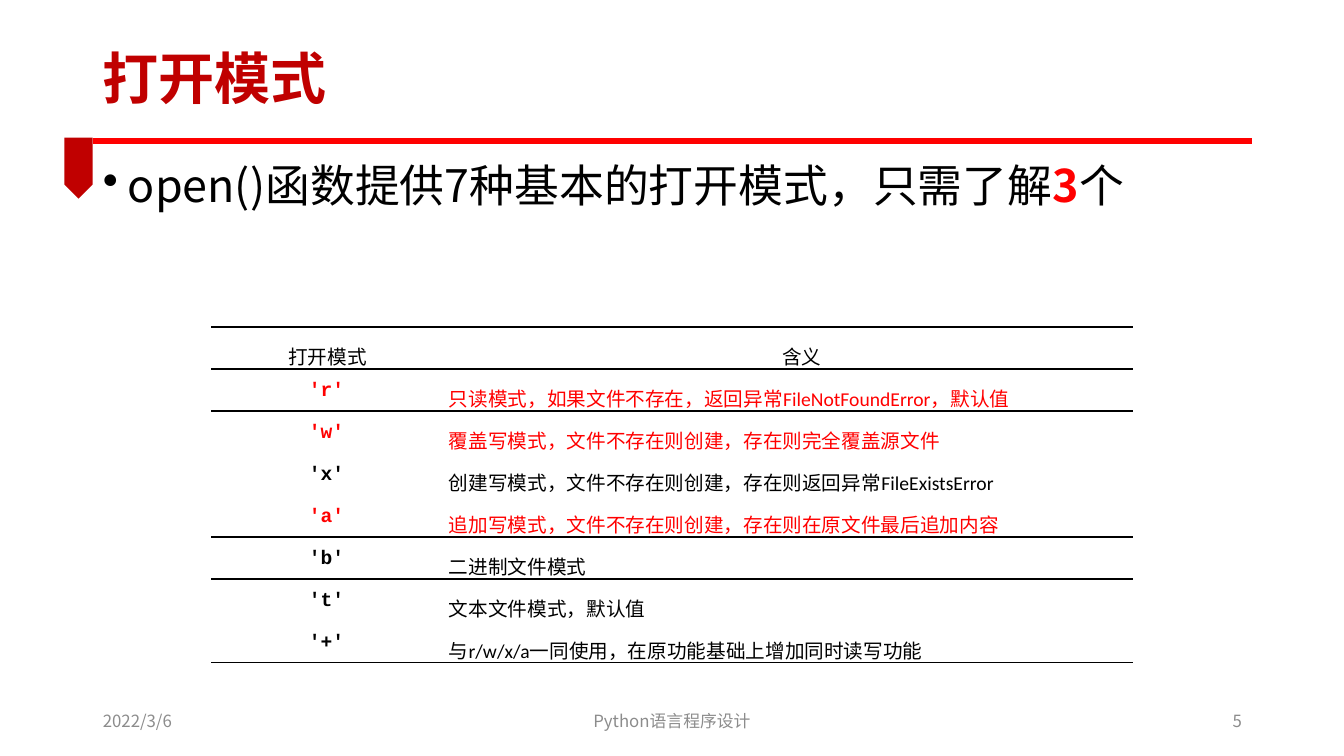
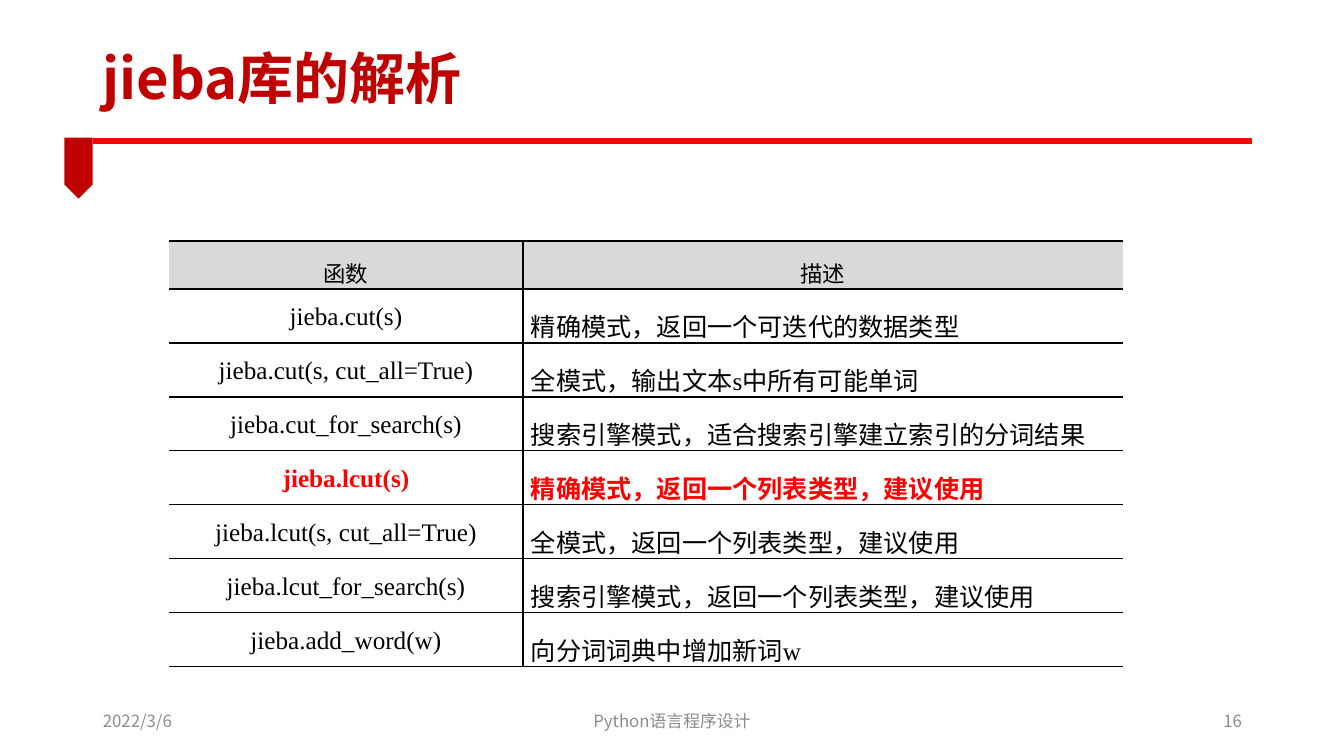
from lxml import etree
from pptx import Presentation
from pptx.dml.color import RGBColor
from pptx.enum.shapes import MSO_CONNECTOR, MSO_SHAPE
from pptx.enum.text import MSO_ANCHOR, PP_ALIGN
from pptx.oxml.ns import qn
from pptx.util import Pt

LEFT, MID, RIGHT = PP_ALIGN.LEFT, PP_ALIGN.CENTER, PP_ALIGN.RIGHT
TOP, CENTER = MSO_ANCHOR.TOP, MSO_ANCHOR.MIDDLE
LINE, TAG = MSO_CONNECTOR.STRAIGHT, MSO_SHAPE.PENTAGON

WIDE, HIGH = 1344, 756
SCALE = 12192000 / WIDE
RED, DARK, BLACK, GREY = "FF0000", "C00000", "000000", "8C8C8C"
WHITE, SHADE = "FFFFFF", "D9D9D9"
SANS = "Noto Sans CJK SC"
PLAIN = "{2D5ABB26-0587-4C30-8999-92F81FD0307C}"  # table style without grid

DATE, COURSE = "2022/3/6", "Python语言程序设计"
LEAD = [("open()函数提供7种基本的打开模式，只需了解", False), ("3", True), ("个", False)]

MODES = {
    "at": (211, 327), "cols": (231, 691), "rows": (42, 42), "pad": 7,
    "fonts": ("Courier New", "Calibri"), "head font": "Calibri",
    "sizes": (14, 14), "bold": (True, False), "hot bold": False,
    "shade": WHITE, "shift": (2, 29), "split": 0,
    "rules": {0: 1.5, 1: 1.5, 5: 1, 8: 1},
    "hot": (1, 2, 4),
    "text": [
        ("打开模式", "含义"),
        ("'r'", "只读模式，如果文件不存在，返回异常FileNotFoundError，默认值"),
        ("'w'", "覆盖写模式，文件不存在则创建，存在则完全覆盖源文件"),
        ("'x'", "创建写模式，文件不存在则创建，存在则返回异常FileExistsError"),
        ("'a'", "追加写模式，文件不存在则创建，存在则在原文件最后追加内容"),
        ("'b'", "二进制文件模式"),
        ("'t'", "文本文件模式，默认值"),
        ("'+'", "与r/w/x/a一同使用，在原功能基础上增加同时读写功能"),
    ],
}
CALLS = {
    "at": (169, 241), "cols": (354, 600), "rows": (48, 54), "pad": 8,
    "fonts": ("Times New Roman", "Times New Roman"), "head font": "Times New Roman",
    "sizes": (16, 18), "bold": (False, False), "hot bold": True,
    "shade": SHADE, "shift": (0, 0), "split": 1,
    "rules": dict.fromkeys(range(9), 1),
    "hot": (4,),
    "text": [
        ("函数", "描述"),
        ("jieba.cut(s)", "精确模式，返回一个可迭代的数据类型"),
        ("jieba.cut(s, cut_all=True)", "全模式，输出文本s中所有可能单词"),
        ("jieba.cut_for_search(s)", "搜索引擎模式，适合搜索引擎建立索引的分词结果"),
        ("jieba.lcut(s)", "精确模式，返回一个列表类型，建议使用"),
        ("jieba.lcut(s, cut_all=True)", "全模式，返回一个列表类型，建议使用"),
        ("jieba.lcut_for_search(s)", "搜索引擎模式，返回一个列表类型，建议使用"),
        ("jieba.add_word(w)", "向分词词典中增加新词w"),
    ],
}
SLIDES = [
    {"title": "打开模式", "page": "5", "lead": LEAD, "table": MODES},
    {"title": "jieba库的解析", "page": "16", "lead": None, "table": CALLS},
]


def px(*nums):
    """Turn pixels into EMU: one number, or a list of them."""
    emus = [round(n * SCALE) for n in nums]
    return emus[0] if len(emus) == 1 else emus


def rgb(code):
    return RGBColor.from_string(code)


def style(para, size, color, bold=False, name=SANS, align=LEFT, gap=1.0):
    """Set the look of a whole paragraph, East Asian font included."""
    para.alignment, para.line_spacing = align, gap
    font = para.font
    font.size, font.bold, font.name = Pt(size), bold, name
    font.color.rgb = rgb(color)
    look = para._p.pPr.find(qn("a:defRPr"))
    etree.SubElement(look, qn("a:ea")).set("typeface", SANS)


def add_text(slide, box, text, anchor=CENTER, **look):
    frame = slide.shapes.add_textbox(*px(*box)).text_frame
    frame.word_wrap, frame.vertical_anchor = True, anchor
    para = frame.paragraphs[0]
    para.text = text
    style(para, **look)
    return para


def add_frame(slide, title, page):
    """Draw the title, rule, tag and footers that every slide has."""
    rule = slide.shapes.add_connector(LINE, *px(93, 141, 1252, 141))
    rule.line.color.rgb, rule.line.width = rgb(RED), Pt(4.5)
    etree.SubElement(rule._element.spPr, qn("a:effectLst"))
    tag = slide.shapes.add_shape(TAG, *px(48, 154, 61, 28))
    tag.rotation, tag.shadow.inherit = 90, False
    tag.fill.solid()
    tag.fill.fore_color.rgb = rgb(DARK)
    tag.line.fill.background()
    add_text(slide, (93, 35, 872, 93), title, size=40, color=DARK, bold=True, gap=0.9)
    for left, width, text, align in (
        (93, 302, DATE, LEFT), (445, 454, COURSE, MID), (950, 302, page, RIGHT),
    ):
        add_text(slide, (left, 701, width, 40), text, size=12, color=GREY, align=align)


def add_lead(slide, parts):
    """Add the bullet line, with its marked parts in bold red."""
    para = add_text(slide, (93, 159, 1159, 90), "", TOP, size=32, color=BLACK, gap=0.9)
    para.space_before = Pt(10)
    for text, hot in parts:
        run = para.add_run()
        run.text = text
        if hot:
            run.font.bold, run.font.color.rgb = True, rgb(RED)
    props = para._p.pPr
    props.set("marL", str(px(25)))
    props.set("indent", str(px(-25)))
    dot = etree.Element(qn("a:buChar"))
    dot.set("char", "•")
    props.find(qn("a:defRPr")).addprevious(dot)


def add_edges(cell, **widths):
    """Draw cell borders; widths in points, 0 for none, in the order L R T B."""
    props = cell._tc.get_or_add_tcPr()
    for side, width in widths.items():
        if width:
            edge = etree.SubElement(props, qn("a:ln" + side))
            edge.set("w", str(Pt(width)))
            fill = etree.SubElement(edge, qn("a:solidFill"))
            etree.SubElement(fill, qn("a:srgbClr")).set("val", BLACK)


def fill_cell(cell, row, col, data):
    head, hot = row == 0, row in data["hot"]
    rules, split = data["rules"], data["split"]
    add_edges(cell, L=split * col, R=split * (1 - col),
              T=rules.get(row, 0), B=rules.get(row + 1, 0))
    cell.fill.solid()
    cell.fill.fore_color.rgb = rgb(data["shade"] if head else WHITE)
    cell.margin_left = cell.margin_right = px(data["pad"])
    cell.margin_top = cell.margin_bottom = 0
    para = cell.text_frame.paragraphs[0]
    para.text = data["text"][row][col]
    style(para, data["sizes"][not head], RED if hot else BLACK,
          bold=not head and (data["bold"][col] or hot and data["hot bold"]),
          name=data["head font"] if head else data["fonts"][col],
          align=MID if head or col == 0 else LEFT, gap=1.5)
    if head:
        para._p.pPr.set("indent", str(px(data["shift"][col])))


def add_grid(slide, data):
    text, cols = data["text"], data["cols"]
    first, rest = data["rows"]
    high = first + rest * (len(text) - 1)
    shape = slide.shapes.add_table(len(text), len(cols), *px(*data["at"], sum(cols), high))
    table = shape.table
    table.first_row = table.horz_banding = False
    table._tbl.tblPr.find(qn("a:tableStyleId")).text = PLAIN
    for col, width in enumerate(cols):
        table.columns[col].width = px(width)
    for row in range(len(text)):
        table.rows[row].height = px(rest if row else first)
        for col in range(len(cols)):
            fill_cell(table.cell(row, col), row, col, data)


def main():
    deck = Presentation()
    deck.slide_width, deck.slide_height = px(WIDE, HIGH)
    for item in SLIDES:
        slide = deck.slides.add_slide(deck.slide_layouts[6])
        add_frame(slide, item["title"], item["page"])
        if item["lead"]:
            add_lead(slide, item["lead"])
        add_grid(slide, item["table"])
    deck.save("out.pptx")


if __name__ == "__main__":
    main()
